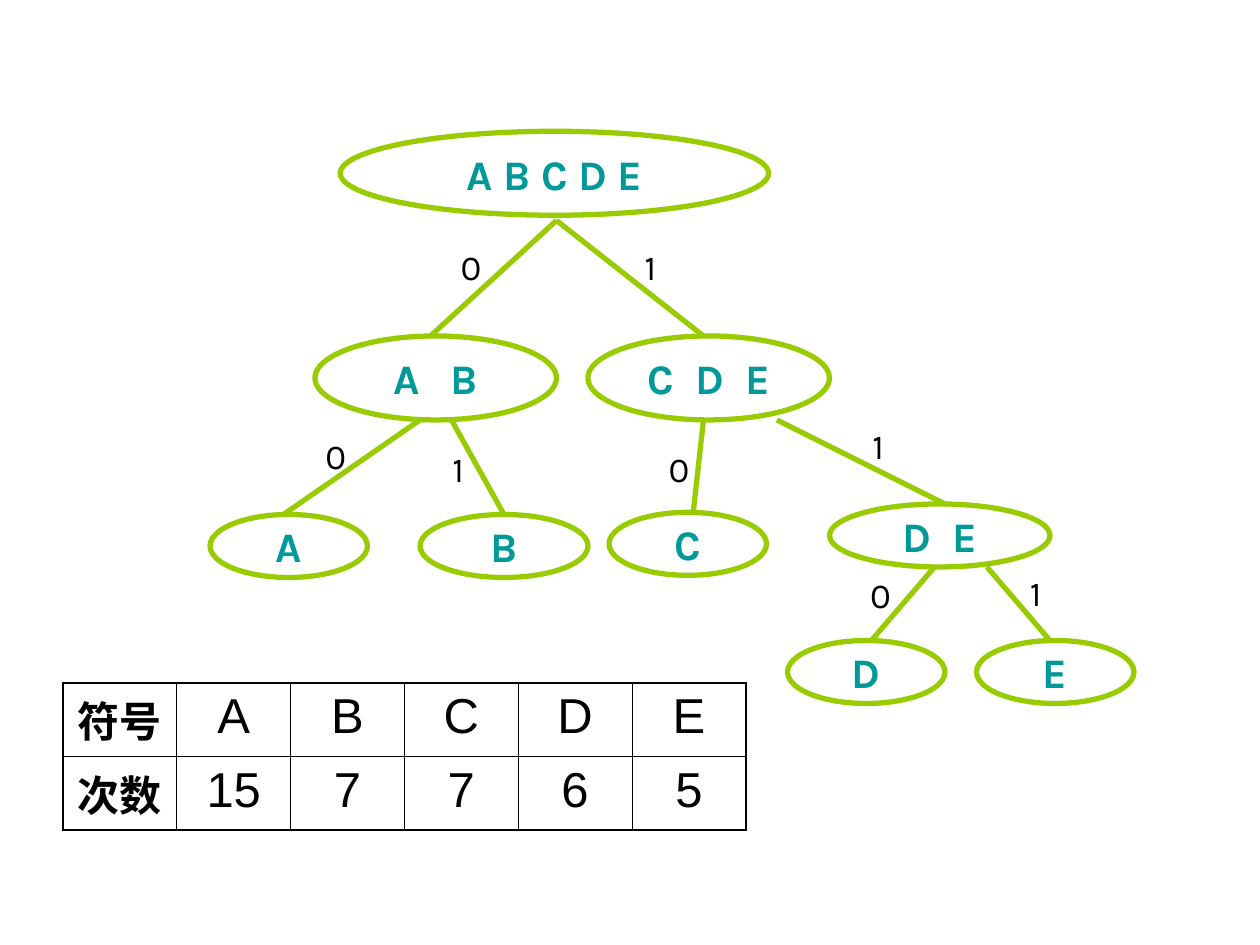
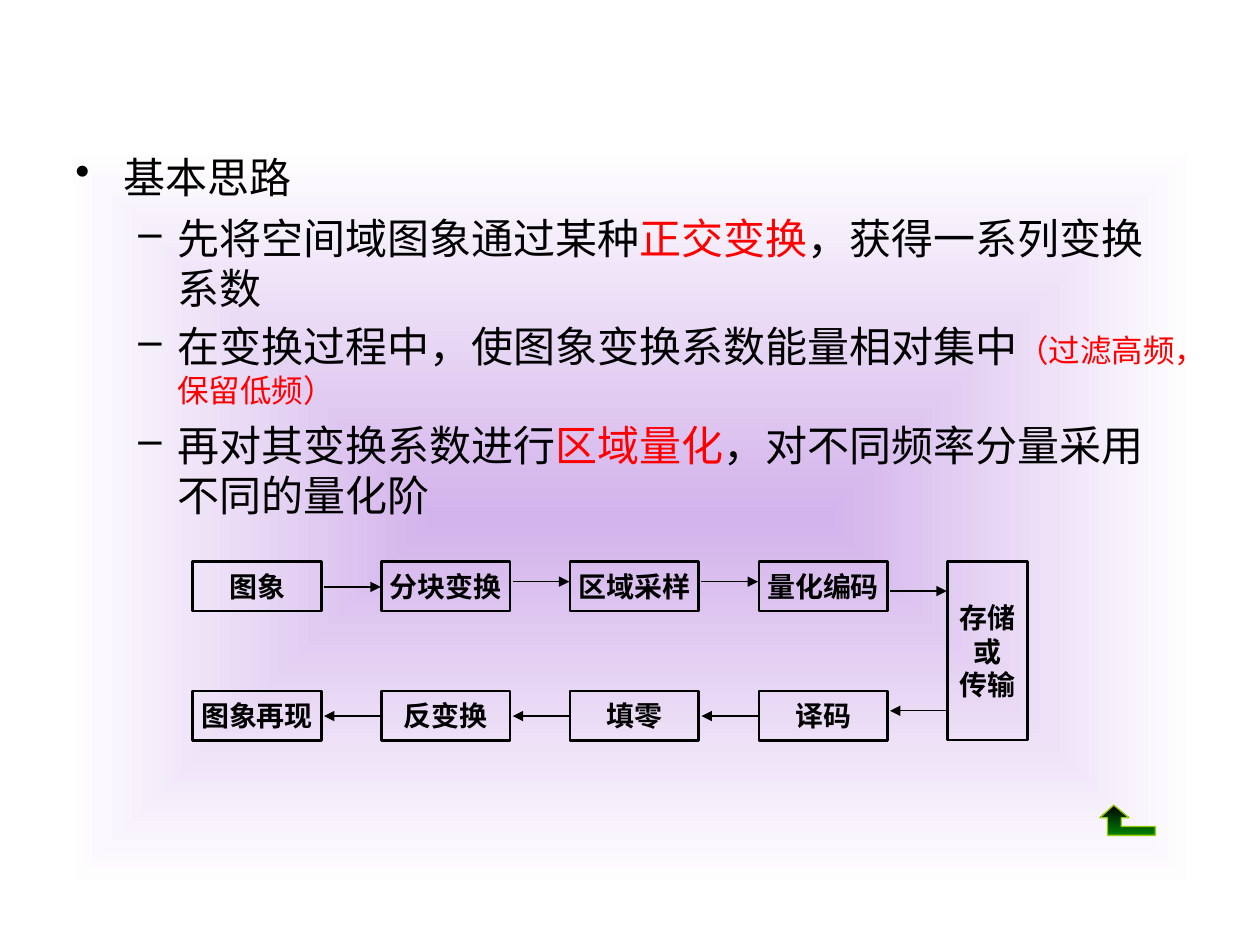
from lxml import etree
from pptx import Presentation
from pptx.dml.color import RGBColor
from pptx.enum.shapes import MSO_CONNECTOR, MSO_SHAPE
from pptx.enum.text import MSO_ANCHOR, PP_ALIGN
from pptx.oxml.ns import qn
from pptx.util import Inches, Pt

OVAL, RECT = MSO_SHAPE.OVAL, MSO_SHAPE.RECTANGLE
STRAIGHT = MSO_CONNECTOR.STRAIGHT
CENTER, MIDDLE, TOP = PP_ALIGN.CENTER, MSO_ANCHOR.MIDDLE, MSO_ANCHOR.TOP
BLACK, WHITE, RED = "000000", "FFFFFF", "FF0000"
LIME, TEAL, LILAC, GREEN = "99CC00", "009999", "D3B3EB", "008000"
BODY_FONT, NODE_FONT = "Arial", "Karla"
rgb = RGBColor.from_string

prs = Presentation()
prs.slide_width, prs.slide_height = Inches(10), Inches(7.5)
U = prs.slide_width / 120  # grid of 120 columns and 90 rows


def add_box(s, kind, x, y, w, h, text, size, color, bold=True, fill=None,
            line=None, weight=1, margins=(0.1, 0.05), spacing=0):
    """Centred text in a preset shape, or in a text box if kind is None."""
    at = [int(v * U) for v in (x, y, w, h)]
    sp = s.shapes.add_shape(kind, *at) if kind else s.shapes.add_textbox(*at)
    if kind:
        sp.shadow.inherit = False
        sp.line.color.rgb = rgb(line)
        sp.line.width = Pt(weight)
        if fill:
            sp.fill.solid()
            sp.fill.fore_color.rgb = rgb(fill)
        else:
            sp.fill.background()
    tf = sp.text_frame
    tf.word_wrap = False
    tf.vertical_anchor = MIDDLE if kind else TOP
    tf.margin_left = tf.margin_right = Inches(margins[0])
    tf.margin_top = tf.margin_bottom = Inches(margins[1])
    tf.text = text
    for p in tf.paragraphs:
        p.alignment = CENTER
        for r in p.runs:
            r.font.size, r.font.bold, r.font.name = Pt(size), bold, NODE_FONT
            r.font.color.rgb = rgb(color)
            if spacing:
                r.font._element.set("spc", str(spacing))


def add_line(s, x1, y1, x2, y2, color, weight, arrow=False):
    c = s.shapes.add_connector(STRAIGHT, *[int(v * U) for v in (x1, y1, x2, y2)])
    c.line.color.rgb = rgb(color)
    c.line.width = Pt(weight)
    props = c._element.spPr
    if arrow:
        etree.SubElement(props.find(qn("a:ln")), qn("a:tailEnd"), type="triangle")
    etree.SubElement(props, qn("a:effectLst"))


# Slide 1: code tree
s = prs.slides.add_slide(prs.slide_layouts[6])

# Symbol counts
rows = [["符号", "A", "B", "C", "D", "E"], ["次数", "15", "7", "7", "6", "5"]]
n_rows, n_cols = len(rows), len(rows[0])
tbl = s.shapes.add_table(n_rows, n_cols, Inches(0.5), Inches(5.42),
                         Inches(5.42), Inches(1.14)).table
tbl.first_row = tbl.horz_banding = False
for i, row in enumerate(rows):
    for j, value in enumerate(row):
        cell = tbl.cell(i, j)
        cell.text = value
        cell.fill.background()
        p = cell.text_frame.paragraphs[0]
        p.alignment = CENTER
        font = p.runs[0].font
        font.name, font.bold, font.size = BODY_FONT, j == 0, Pt(28 if j else 24)
        font.color.rgb = rgb(BLACK)
        outer = {"lnL": j == 0, "lnR": j == n_cols - 1,
                 "lnT": i == 0, "lnB": i == n_rows - 1}
        for k, (side, is_outer) in enumerate(outer.items()):
            ln = etree.Element(qn("a:" + side), w=str(Pt(1.08 if is_outer else 0.45)))
            solid = etree.SubElement(ln, qn("a:solidFill"))
            etree.SubElement(solid, qn("a:srgbClr"), val=BLACK)
            cell._tc.get_or_add_tcPr().insert(k, ln)

# Branches: line ends, then the bit and its place
branches = [
    (53, 21, 41, 32, "0", 42.7, 22.8), (53, 21, 67, 32, "1", 59.8, 22.8),
    (40, 40, 27, 49, "0", 29.8, 40.8), (43, 40, 48, 49, "1", 41.5, 42),
    (67, 40, 66, 49, "0", 62.5, 42), (74, 40, 90, 48, "1", 81.5, 39.8),
    (89, 54, 83, 61, "0", 81.7, 54), (94, 54, 100, 61, "1", 96.5, 53.8),
]
for *ends, bit, x, y in branches:
    add_line(s, *ends, LIME, 3)

# Nodes: text, letter spacing, place and size
nodes = [
    ("A B C D E", 0, 32.4, 12.5, 40.8, 8),
    ("A B", 600, 30, 32, 23, 8), ("C D E", 300, 56, 32, 23, 8),
    ("A", 0, 20, 49, 15, 6), ("B", 0, 40, 49, 16, 6),
    ("C", 0, 58, 48.8, 15, 6), ("D E", 300, 79, 48, 21, 6),
    ("D", 0, 75, 61, 15, 6), ("E", 0, 93, 61, 15, 6),
]
for text, spacing, *at in nodes:
    add_box(s, OVAL, *at, text, 24, TEAL, fill=WHITE, line=LIME, weight=3,
            spacing=spacing)
for *ends, bit, x, y in branches:
    add_box(s, None, x, y, 4.3, 5.3, bit, 20, BLACK, bold=False)

# Slide 2: transform coding
s = prs.slides.add_slide(prs.slide_layouts[6])

# Body panel with a gradient from its centre
sp = s.shapes.add_shape(RECT, Inches(0.5), Inches(1.15), Inches(9), Inches(5.91))
sp.shadow.inherit = False
sp.line.fill.background()
sp.fill.gradient()
for stop, color, position in zip(sp.fill.gradient_stops, (LILAC, WHITE), (0, 1)):
    stop.color.rgb = rgb(color)
    stop.position = position
grad = sp._element.spPr.find(qn("a:gradFill"))
grad.remove(grad.find(qn("a:lin")))
focus = etree.SubElement(grad, qn("a:path"))
focus.set("path", "rect")
etree.SubElement(focus, qn("a:fillToRect"), {side: "50000" for side in "ltrb"})

# Body text: level, space before, runs of text, colour and size
body = [
    (0, 0, [("基本思路", BLACK, 24)]),
    (1, 6, [("先将空间域图象通过某种", BLACK, 24), ("正交变换", RED, 24),
            ("，获得一系列变换系数", BLACK, 24)]),
    (1, 4.5, [("在变换过程中，使图象变换系数能量相对集中", BLACK, 24),
              ("（过滤高频，保留低频）", RED, 18)]),
    (1, 6, [("再对其变换系数进行", BLACK, 24), ("区域量化", RED, 24),
            ("，对不同频率分量采用不同的量化阶", BLACK, 24)]),
]
bullets = [("•", 0.38, -0.38), ("–", 0.81, -0.31)]
tf = sp.text_frame
tf.word_wrap = True
tf.vertical_anchor = TOP
for i, (level, before, runs) in enumerate(body):
    p = tf.add_paragraph() if i else tf.paragraphs[0]
    char, margin, indent = bullets[level]
    p.level, p.alignment, p.space_before = level, PP_ALIGN.LEFT, Pt(before)
    props = p._p.get_or_add_pPr()
    props.set("marL", str(Inches(margin)))
    props.set("indent", str(Inches(indent)))
    etree.SubElement(etree.SubElement(props, qn("a:buClr")), qn("a:srgbClr"), val=BLACK)
    etree.SubElement(props, qn("a:buChar"), char=char)
    for text, color, size in runs:
        r = p.add_run()
        r.text = text
        r.font.name, r.font.size = BODY_FONT, Pt(size)
        r.font.color.rgb = rgb(color)

# Flow chart: encoding row, decoding row and the store between them
STEP, LEFT = 17.97, 18.36
flow = [
    (53.5, ["图象", "分块变换", "区域采样", "量化编码"]),
    (65.8, ["图象再现", "反变换", "填零", "译码"]),
]
stages = [(LEFT + STEP * i, y, 12.24, 4.7, name)
          for y, names in flow for i, name in enumerate(names)]
stages.append((LEFT + STEP * 4, 53.5, 7.6, 17, "存储\n或\n传输"))
for *at, name in stages:
    add_box(s, RECT, *at, name, 16, BLACK, line=BLACK, weight=1.5,
            margins=(0.06, 0.01))

encode_y = [55.9, 55.4, 55.4, 56.3]
decode_y = [68.2, 68.2, 68.2, 67.7]
for i, (y1, y2) in enumerate(zip(encode_y, decode_y)):
    x1 = LEFT + STEP * i + 12.5
    x2 = x1 + 5.4
    add_line(s, x1, y1, x2, y1, BLACK, 0.75, arrow=True)
    add_line(s, x2, y2, x1, y2, BLACK, 0.75, arrow=True)

# Return arrow
outline = [(8.84, 6.39), (8.96, 6.49), (8.9, 6.49), (8.9, 6.56), (9.17, 6.56),
           (9.17, 6.63), (8.79, 6.63), (8.79, 6.49), (8.73, 6.49)]
points = [(Inches(x), Inches(y)) for x, y in outline]
fb = s.shapes.build_freeform(*points[0])
fb.add_line_segments(points[1:], close=True)
sp = fb.convert_to_shape()
sp.shadow.inherit = False
sp.line.color.rgb = rgb(LIME)
sp.line.width = Pt(0.75)
sp.fill.gradient()
sp.fill.gradient_angle = 270
for stop, color, position in zip(sp.fill.gradient_stops, (BLACK, GREEN), (0, 1)):
    stop.color.rgb = rgb(color)
    stop.position = position

prs.save("out.pptx")
